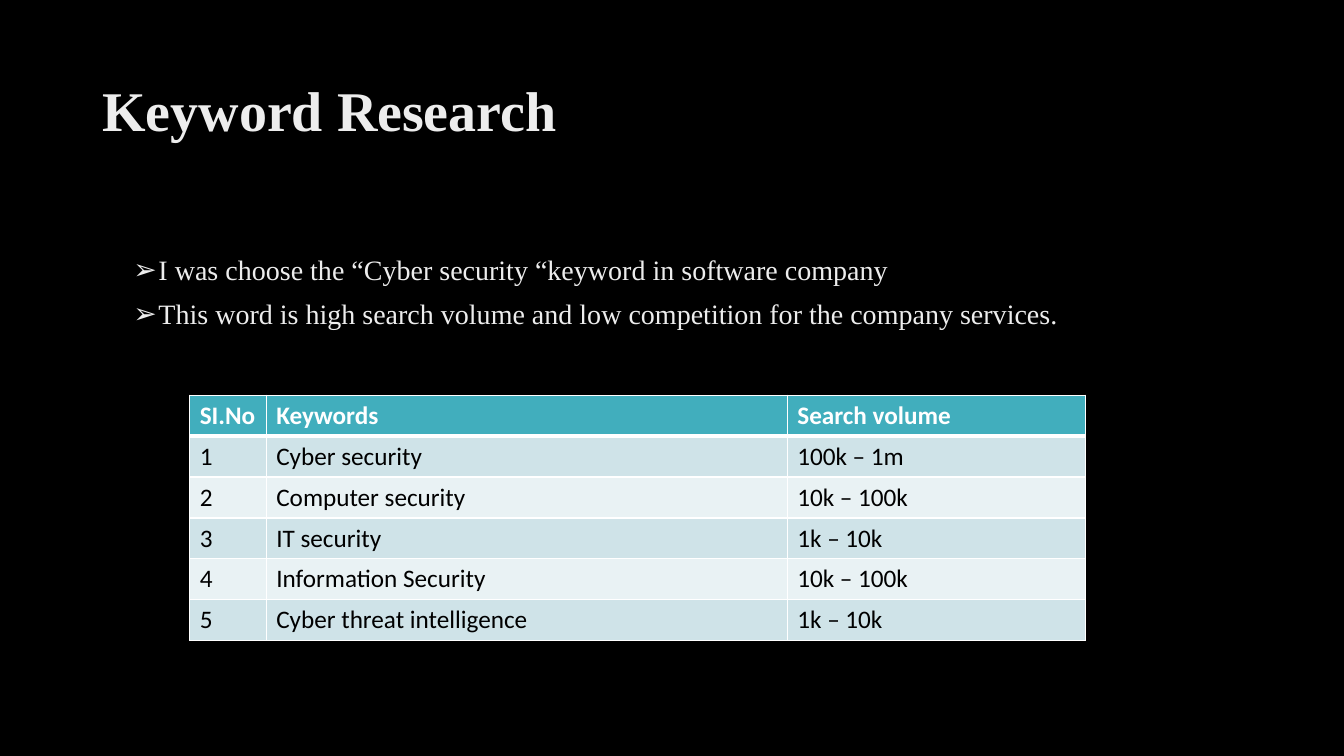
from lxml.etree import SubElement
from pptx import Presentation
from pptx.dml.color import RGBColor
from pptx.enum.text import MSO_ANCHOR, MSO_AUTO_SIZE, PP_ALIGN
from pptx.oxml import parse_xml
from pptx.oxml.ns import nsdecls, qn
from pptx.util import Pt

TITLE = "Keyword Research"
BULLETS = [
    "I was choose the “Cyber security “keyword in software company",
    "This word is high search volume and low competition for the company services.",
]
KEYWORDS = [
    ("SI.No", "Keywords", "Search volume"),
    ("1", "Cyber security", "100k – 1m"),
    ("2", "Computer security", "10k – 100k"),
    ("3", "IT security", "1k – 10k"),
    ("4", "Information Security", "10k – 100k"),
    ("5", "Cyber threat intelligence", "1k – 10k"),
]
COL_WIDTHS = (54.7, 372.2, 213.1)
ROW_HEIGHT = 29.2
SERIF, SANS = "Times New Roman", "Calibri"
LIGHT, WHITE, BLACK = "EDEDED", "FFFFFF", "000000"
HEADER, BANDS = "41AEBD", ("E9F2F4", "CFE3E8")


def rgb(value):
    return RGBColor.from_string(value)


def place(sp, left, top, width, height):
    sp.left, sp.top, sp.width, sp.height = map(Pt, (left, top, width, height))


def write(p, text, size=18, font=SANS, color=BLACK, bold=False,
          bullet=None, indent=18, spacing=None, before=0):
    """Fill one paragraph with formatted text."""
    p.alignment = PP_ALIGN.LEFT
    p.space_before = Pt(before)
    if spacing:
        p.line_spacing = spacing
    if bullet:
        pPr = p._p.get_or_add_pPr()
        pPr.set("marL", str(Pt(indent)))
        pPr.set("indent", str(-Pt(indent)))
        SubElement(pPr, qn("a:buChar")).set("char", bullet)
    r = p.add_run()
    r.text = text
    r.font.name, r.font.size, r.font.bold = font, Pt(size), bold
    r.font.color.rgb = rgb(color)


def set_borders(cell, **widths):
    tcPr = cell._tc.get_or_add_tcPr()
    for i, (side, width) in enumerate(widths.items()):
        tcPr.insert(i, parse_xml(
            f'<a:ln{side} {nsdecls("a")} w="{Pt(width)}"><a:solidFill>'
            f'<a:srgbClr val="{WHITE}"/></a:solidFill></a:ln{side}>'))


prs = Presentation()
prs.slide_width, prs.slide_height = Pt(960), Pt(540)
s = prs.slides.add_slide(prs.slide_layouts[1])
s.background.fill.solid()
s.background.fill.fore_color.rgb = rgb(BLACK)

title, body = s.shapes.title, s.placeholders[1]
place(title, 66, 28.8, 828, 104.4)
place(body, 88, 179.5, 805.5, 307)
for sp, anchor in ((title, MSO_ANCHOR.MIDDLE), (body, MSO_ANCHOR.TOP)):
    sp.text_frame.auto_size = MSO_AUTO_SIZE.NONE
    sp.text_frame.vertical_anchor = anchor

write(title.text_frame.paragraphs[0], TITLE, size=40, font=SERIF,
      color=LIGHT, bold=True, spacing=0.9)
tf = body.text_frame
for i, text in enumerate(BULLETS):
    p = tf.add_paragraph() if i else tf.paragraphs[0]
    write(p, text, size=20, font=SERIF, color=LIGHT, bullet="➢",
          spacing=0.9, before=10 if i else 0)

table = s.shapes.add_table(
    len(KEYWORDS), len(COL_WIDTHS), Pt(135.5), Pt(282.4),
    Pt(sum(COL_WIDTHS)), Pt(ROW_HEIGHT * len(KEYWORDS))).table
for column, width in zip(table.columns, COL_WIDTHS):
    column.width = Pt(width)
for i, row in enumerate(KEYWORDS):
    table.rows[i].height = Pt(ROW_HEIGHT)
    is_header = i == 0
    for j, text in enumerate(row):
        cell = table.cell(i, j)
        cell.fill.solid()
        cell.fill.fore_color.rgb = rgb(HEADER if is_header else BANDS[i % 2])
        set_borders(cell, L=1, R=1, T=3 if i == 1 else 1, B=3 if is_header else 1)
        write(cell.text_frame.paragraphs[0], text,
              color=WHITE if is_header else BLACK, bold=is_header)

prs.save("out.pptx")
